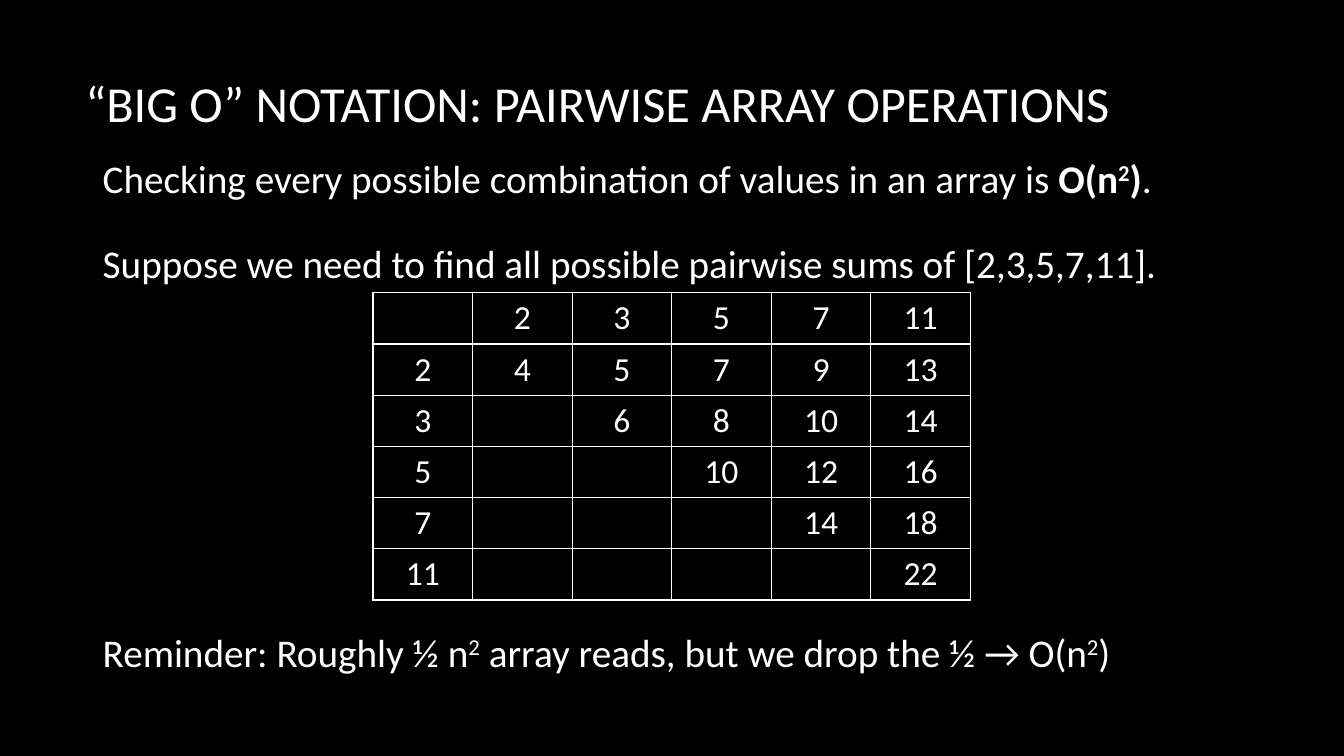
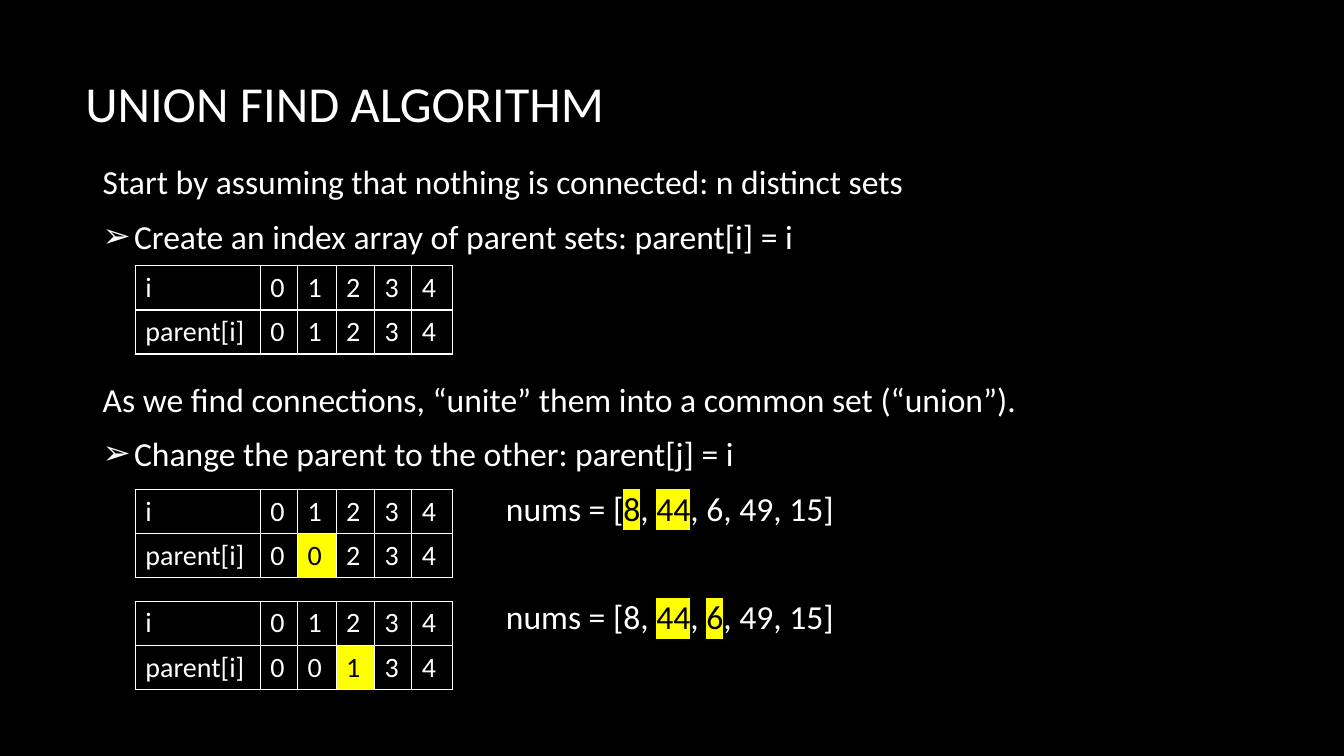
from dataclasses import dataclass
from typing import NamedTuple

from lxml import etree
from pptx import Presentation
from pptx.dml.color import RGBColor
from pptx.enum.text import PP_ALIGN
from pptx.oxml.ns import qn
from pptx.util import Cm, Pt

LEFT, CENTER = PP_ALIGN.LEFT, PP_ALIGN.CENTER


@dataclass(frozen=True)
class Theme:
    font: str = "Calibri"
    back: str = "000000"
    ink: str = "FFFFFF"
    mark: str = "FFFF00"
    title: int = 36
    large: int = 28
    body: int = 24
    small: int = 20
    gap: int = 10


THEME = Theme()


class Span(NamedTuple):
    text: str
    bold: bool = False
    sup: bool = False
    mark: bool = False


class Line(NamedTuple):
    spans: list[Span]
    bullet: bool = False
    before: int = 0


class Grid(NamedTuple):
    left: float
    top: float
    cols: list[float]
    row: float
    size: int
    align: PP_ALIGN
    cells: list[list[str]]
    marked: tuple[int, int] | None = None


def plain(text: str, bullet: bool = False, before: int = 0) -> Line:
    return Line([Span(text)], bullet, before)


def paint(parent, tag: str, color: str):
    """Add a colour element such as a:highlight under parent."""
    node = etree.SubElement(parent, qn(tag))
    etree.SubElement(node, qn("a:srgbClr"), val=color)
    return node


def style(para, size: int, color: str = THEME.ink) -> None:
    para.font.name = THEME.font
    para.font.size = Pt(size)
    para.font.color.rgb = RGBColor.from_string(color)


def add_bullet(para) -> None:
    props = para._p.get_or_add_pPr()
    props.set("marL", str(Cm(0.79)))
    props.set("indent", str(-Cm(0.79)))
    paint(props, "a:buClr", THEME.ink)
    etree.SubElement(props, qn("a:buFont"), typeface=THEME.font)
    etree.SubElement(props, qn("a:buChar"), char="➢")


def add_span(para, span: Span) -> None:
    run = para.add_run()
    run.text = span.text
    if span.bold:
        run.font.bold = True
    props = run._r.get_or_add_rPr()
    if span.sup:
        props.set("baseline", "30000")
    if span.mark:
        run.font.color.rgb = RGBColor.from_string(THEME.back)
        paint(props, "a:highlight", THEME.mark)


def add_text(slide, left: float, top: float, width: float, size: int, lines: list[Line]) -> None:
    box = slide.shapes.add_textbox(Cm(left), Cm(top), Cm(width), Cm(1.37 * len(lines)))
    frame = box.text_frame
    frame.word_wrap = True
    for num, line in enumerate(lines):
        para = frame.add_paragraph() if num else frame.paragraphs[0]
        para.space_before = Pt(line.before)
        para.space_after = Pt(THEME.gap)
        if line.bullet:
            add_bullet(para)
        style(para, size)
        for span in line.spans:
            add_span(para, span)


def add_border(cell) -> None:
    props = cell._tc.get_or_add_tcPr()
    for side in "LRTB":
        edge = etree.SubElement(props, qn(f"a:ln{side}"), w=str(Pt(1)))
        paint(edge, "a:solidFill", THEME.ink)


def add_grid(slide, grid: Grid) -> None:
    rows, cols = len(grid.cells), len(grid.cols)
    frame = slide.shapes.add_table(
        rows, cols, Cm(grid.left), Cm(grid.top), Cm(sum(grid.cols)), Cm(grid.row * rows))
    table = frame.table
    table.first_row = table.horz_banding = False
    for col, width in zip(table.columns, grid.cols):
        col.width = Cm(width)
    for y, texts in enumerate(grid.cells):
        table.rows[y].height = Cm(grid.row)
        for x, text in enumerate(texts):
            cell = table.cell(y, x)
            lit = (y, x) == grid.marked
            add_border(cell)
            cell.fill.solid()
            cell.fill.fore_color.rgb = RGBColor.from_string(THEME.mark if lit else THEME.back)
            cell.text = text
            para = cell.text_frame.paragraphs[0]
            para.alignment = grid.align
            style(para, grid.size, THEME.back if lit else THEME.ink)


def add_slide(deck, title: str):
    slide = deck.slides.add_slide(deck.slide_layouts[6])
    fill = slide.background.fill
    fill.solid()
    fill.fore_color.rgb = RGBColor.from_string(THEME.back)
    add_text(slide, 1.9, 1.7, 28.14, THEME.title, [plain(title)])
    return slide


def add_sums(deck) -> None:
    slide = add_slide(deck, "“BIG O” NOTATION: PAIRWISE ARRAY OPERATIONS")
    left, width = 2.34, 29.2
    add_text(slide, left, 3.76, width, THEME.large, [
        Line([Span("Checking every possible combination of values in an array is "),
              Span("O(n", bold=True), Span("2", bold=True, sup=True),
              Span(")", bold=True), Span(".")]),
        plain("Suppose we need to find all possible pairwise sums of [2,3,5,7,11].", before=17),
    ])
    add_text(slide, left, 15.7, width, THEME.large, [
        Line([Span("Reminder: Roughly ½ n"), Span("2", sup=True),
              Span(" array reads, but we drop the ½ → O(n"), Span("2", sup=True), Span(")")]),
    ])
    nums = [2, 3, 5, 7, 11]
    cells = [["", *map(str, nums)]]
    for a in nums:
        cells.append([str(a), *(str(a + b) if b >= a else "" for b in nums)])
    add_grid(slide, Grid(9.4, 7.38, [2.51] * 6, 1.29, THEME.body, CENTER, cells))


def list_nums(lit: set[int]) -> Line:
    """Write out the nums array with the values in lit highlighted."""
    spans = [Span("nums = [")]
    for num, value in enumerate([8, 44, 6, 49, 15]):
        if num:
            spans.append(Span(", "))
        spans.append(Span(str(value), mark=value in lit))
    return Line([*spans, Span("]")])


def add_union(deck) -> None:
    slide = add_slide(deck, "UNION FIND ALGORITHM")
    left, width, top, pitch = 2.34, 29.2, 3.94, 1.37
    add_text(slide, left, top, width, THEME.body, [
        plain("Start by assuming that nothing is connected: n distinct sets"),
        plain("Create an index array of parent sets: parent[i] = i", bullet=True),
    ])
    add_text(slide, left, top + 4 * pitch, width, THEME.body, [
        plain("As we find connections, “unite” them into a common set (“union”)."),
        plain("Change the parent to the other: parent[j] = i", bullet=True),
    ])
    for step, lit in ((6, {8, 44}), (8, {44, 6})):
        add_text(slide, 12.5, top + step * pitch, 12, THEME.body, [list_nums(lit)])
    cols = [3.15, 0.94, 0.97, 0.97, 0.94, 1.02]
    states = ((6.7, "01234", None), (12.34, "00234", (1, 2)), (15.15, "00134", (1, 3)))
    for y, parents, marked in states:
        cells = [["i", *"01234"], ["parent[i]", *parents]]
        add_grid(slide, Grid(3.41, y, cols, 1.11, THEME.small, LEFT, cells, marked))


def main() -> None:
    deck = Presentation()
    deck.slide_width, deck.slide_height = Cm(33.87), Cm(19.05)
    add_sums(deck)
    add_union(deck)
    deck.save("out.pptx")


if __name__ == "__main__":
    main()
